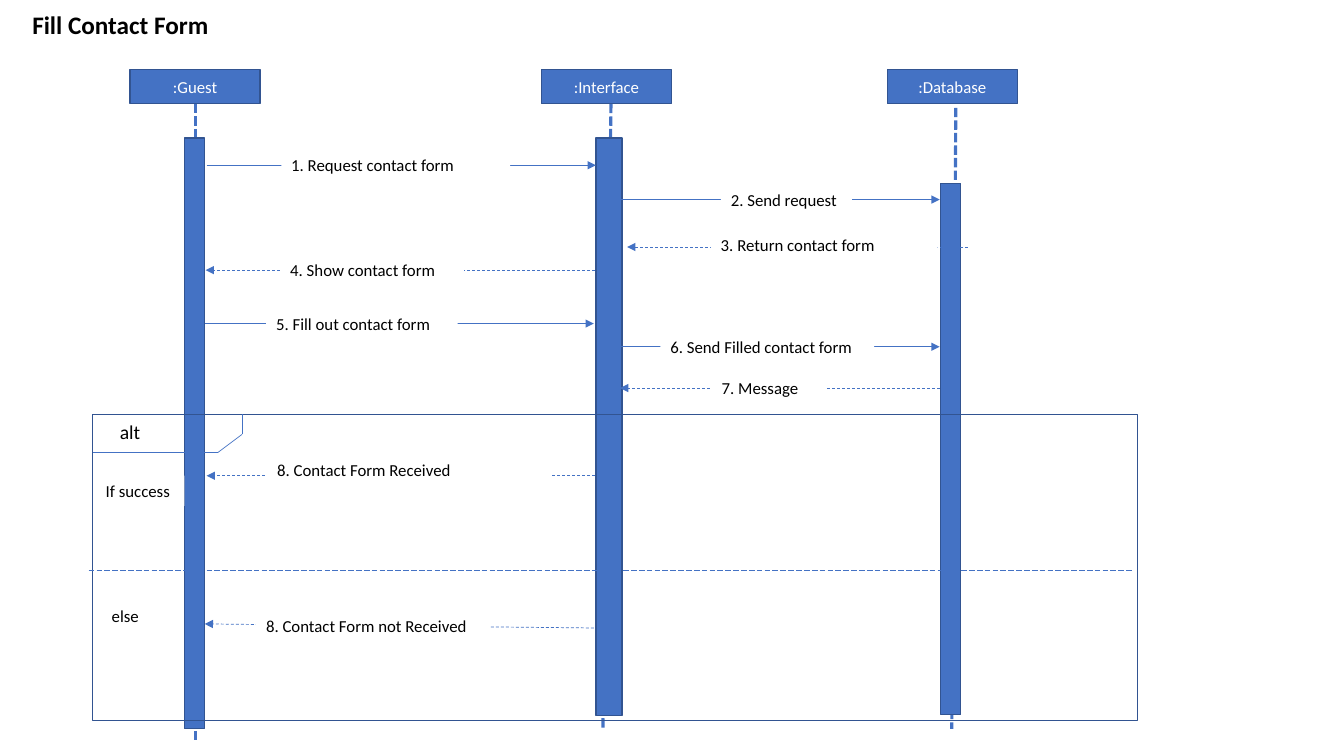
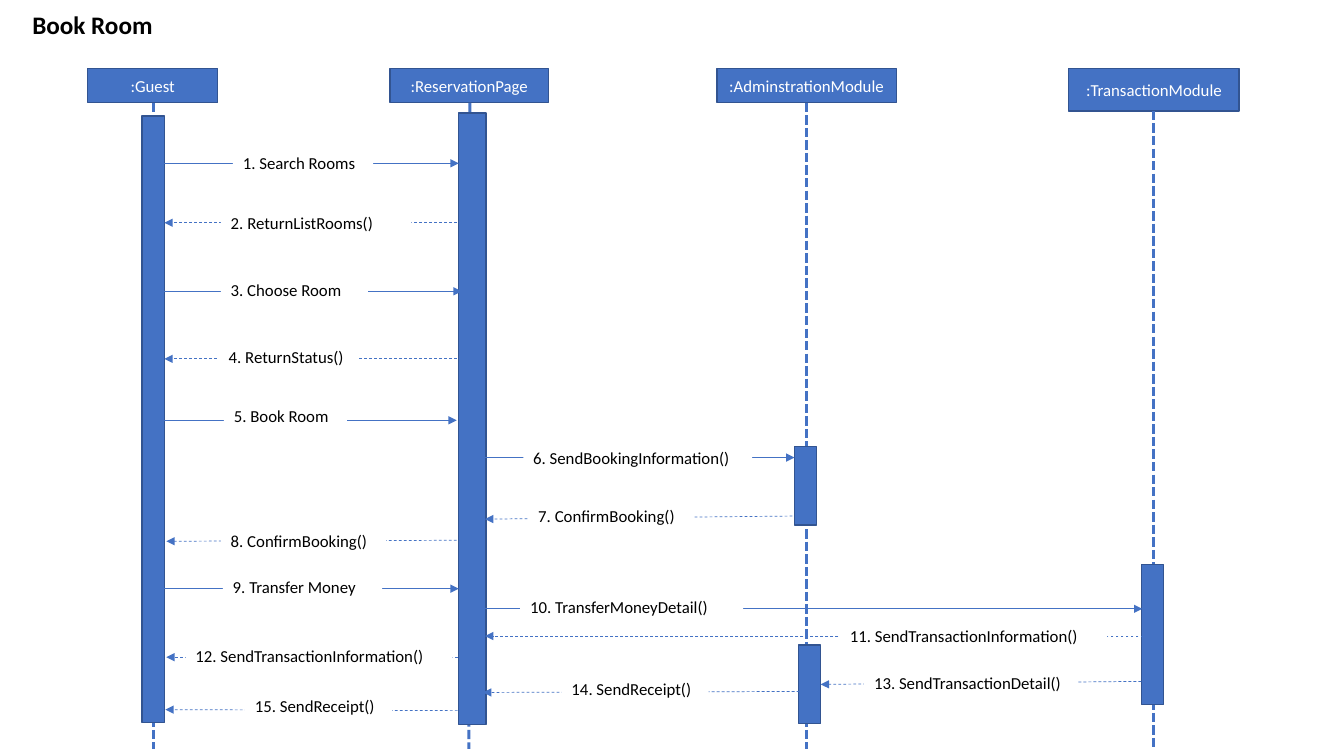
from dataclasses import dataclass
from itertools import pairwise

from pptx import Presentation
from pptx.dml.color import RGBColor
from pptx.enum import dml, shapes, text
from pptx.oxml.xmlchemy import OxmlElement
from pptx.util import Inches, Pt

FONT = "Calibri"
BLUE, NAVY, WHITE, BLACK = "4472C4", "325491", "FFFFFF", "000000"
LIFELINE_DASH = dml.MSO_LINE.SQUARE_DOT
REPLY_DASH = dml.MSO_LINE.DASH
DIVIDER_DASH = dml.MSO_LINE.LONG_DASH
LABEL_HEIGHT = 0.3
TITLE_BOX = (0.22, 0.04, 2.33, 0.4)


@dataclass
class Participant:
    name: str
    header: tuple
    lifeline: tuple
    bars: list


@dataclass
class Message:
    wording: str
    start: tuple
    end: tuple
    label: tuple


def color(value):
    return RGBColor.from_string(value)


def write(frame, wording, size, ink, bold=False, align=text.PP_ALIGN.LEFT):
    paragraph = frame.paragraphs[0]
    paragraph.alignment = align
    run = paragraph.add_run()
    run.text = wording
    run.font.name = FONT
    run.font.size = Pt(size)
    run.font.bold = bold
    run.font.color.rgb = color(ink)


def add_title(slide, wording, box):
    title = slide.shapes.title
    title.left, title.top, title.width, title.height = map(Inches, box)
    frame = title.text_frame
    frame.word_wrap = True
    frame.vertical_anchor = text.MSO_ANCHOR.TOP
    frame.auto_size = text.MSO_AUTO_SIZE.SHAPE_TO_FIT_TEXT
    write(frame, wording, 18, BLACK, bold=True)
    frame.paragraphs[0].line_spacing = 1.0
    frame.paragraphs[0].space_before = Pt(0)


def add_box(slide, box, fill=BLUE, line=NAVY):
    shape = slide.shapes.add_shape(shapes.MSO_SHAPE.RECTANGLE, *map(Inches, box))
    shape.shadow.inherit = False
    if fill:
        shape.fill.solid()
        shape.fill.fore_color.rgb = color(fill)
    else:
        shape.fill.background()
    if line:
        shape.line.color.rgb = color(line)
        shape.line.width = Pt(1)
    else:
        shape.line.fill.background()
    return shape


def add_line(slide, start, end, width=0.5, dash=None, arrow=False):
    connector = slide.shapes.add_connector(
        shapes.MSO_CONNECTOR.STRAIGHT, *map(Inches, (*start, *end)))
    connector.line.color.rgb = color(BLUE)
    connector.line.width = Pt(width)
    if dash:
        connector.line.dash_style = dash
    if arrow:
        tail = OxmlElement("a:tailEnd")
        tail.set("type", "triangle")
        connector.line._get_or_add_ln().append(tail)
    connector._element.spPr.append(OxmlElement("a:effectLst"))


def add_label(slide, wording, left, top, width):
    shape = add_box(slide, (left, top, width, LABEL_HEIGHT), WHITE, None)
    frame = shape.text_frame
    frame.word_wrap = True
    frame.vertical_anchor = text.MSO_ANCHOR.TOP
    frame.auto_size = text.MSO_AUTO_SIZE.SHAPE_TO_FIT_TEXT
    write(frame, wording, 12, BLACK)


def add_participant(slide, participant):
    header = add_box(slide, participant.header)
    header.text_frame.word_wrap = True
    header.text_frame.vertical_anchor = text.MSO_ANCHOR.MIDDLE
    write(header.text_frame, participant.name, 12, WHITE, align=text.PP_ALIGN.CENTER)
    start, end = participant.lifeline[:2], participant.lifeline[2:]
    add_line(slide, start, end, 2.25, LIFELINE_DASH)
    for bar in participant.bars:
        add_box(slide, bar)


def add_message(slide, message):
    is_reply = message.end[0] < message.start[0]
    dash = REPLY_DASH if is_reply else None
    add_line(slide, message.start, message.end, dash=dash, arrow=True)
    add_label(slide, message.wording, *message.label)


def add_alternative(slide, box):
    left, top, width, height = box
    add_box(slide, box, fill=None)
    tab = [(0, 0.38), (1.24, 0.38), (1.48, 0.2), (1.48, 0)]
    corners = [(left + x, top + y) for x, y in tab]
    for start, end in pairwise(corners):
        add_line(slide, start, end)
    operator = slide.shapes.add_textbox(
        *map(Inches, (left + 0.17, top + 0.01, 0.88, 0.34)))
    operator.text_frame.word_wrap = True
    write(operator.text_frame, "alt", 14, BLACK)
    divider = top + 1.55
    add_line(slide, (left - 0.04, divider), (left + width - 0.04, divider),
             dash=DIVIDER_DASH)
    add_label(slide, "If success", left + 0.03, top + 0.61, 0.88)
    add_label(slide, "else", left + 0.09, top + 1.85, 0.75)


def add_sequence_slide(presentation, title, participants, messages, alternative=None):
    slide = presentation.slides.add_slide(presentation.slide_layouts[5])
    add_title(slide, title, TITLE_BOX)
    for participant in participants:
        add_participant(slide, participant)
    for message in messages:
        add_message(slide, message)
    if alternative:
        add_alternative(slide, alternative)


CONTACT_PARTICIPANTS = [
    Participant(":Guest", (1.29, 0.69, 1.29, 0.34), (1.94, 1.03, 1.94, 7.35),
                [(1.83, 1.37, 0.2, 5.86)]),
    Participant(":Interface", (5.37, 0.69, 1.29, 0.34), (6.06, 1.03, 5.98, 7.23),
                [(5.91, 1.37, 0.26, 5.73)]),
    Participant(":Database", (8.8, 0.69, 1.29, 0.34), (9.48, 1.07, 9.44, 7.23),
                [(9.33, 1.82, 0.2, 5.27)]),
]
CONTACT_MESSAGES = [
    Message("1. Request contact form", (2.05, 1.64), (5.91, 1.64), (2.79, 1.49, 2.27)),
    Message("2. Send request", (6.12, 1.98), (9.32, 1.98), (7.15, 1.83, 1.3)),
    Message("3. Return contact form", (9.6, 2.45), (6.22, 2.45), (7.05, 2.28, 2.25)),
    Message("4. Show contact form", (5.9, 2.68), (2.04, 2.68), (2.78, 2.53, 1.82)),
    Message("5. Fill out contact form", (2.03, 3.21), (5.89, 3.21), (2.64, 3.06, 1.9)),
    Message("6. Send Filled contact form", (5.95, 3.44), (9.32, 3.44), (6.55, 3.29, 2.12)),
    Message("7. Message", (9.32, 3.85), (6.15, 3.85), (7.06, 3.7, 1.13)),
    Message("8. Contact Form Received", (5.9, 4.72), (2.05, 4.72), (2.65, 4.51, 2.81)),
    Message("8. Contact Form not Received", (5.89, 6.23), (2.03, 6.19), (2.54, 6.06, 2.32)),
]
BOOKING_PARTICIPANTS = [
    Participant(":Guest", (0.87, 0.68, 1.29, 0.34), (1.52, 1.02, 1.52, 7.43),
                [(1.41, 1.15, 0.22, 6.02)]),
    Participant(":ReservationPage", (3.87, 0.68, 1.57, 0.34), (4.66, 1.02, 4.65, 7.43),
                [(4.55, 1.12, 0.27, 6.07)]),
    Participant(":AdminstrationModule", (7.11, 0.68, 1.78, 0.34), (8, 1.02, 8, 7.43),
                [(7.88, 4.43, 0.22, 0.78), (7.92, 6.4, 0.22, 0.78)]),
    Participant(":TransactionModule", (10.6, 0.68, 1.69, 0.42), (11.44, 1.1, 11.44, 7.43),
                [(11.32, 5.6, 0.22, 1.39)]),
]
BOOKING_MESSAGES = [
    Message("1. Search Rooms", (1.63, 1.62), (4.55, 1.62), (2.31, 1.47, 1.39)),
    Message("2. ReturnListRooms()", (4.53, 2.21), (1.63, 2.21), (2.19, 2.06, 1.89)),
    Message("3. Choose Room", (1.59, 2.89), (4.58, 2.89), (2.19, 2.73, 1.46)),
    Message("4. ReturnStatus()", (4.53, 3.56), (1.63, 3.56), (2.17, 3.39, 1.38)),
    Message("5. Book Room", (1.54, 4.17), (4.53, 4.17), (2.22, 3.98, 1.22)),
    Message("6. SendBookingInformation()", (4.77, 4.54), (7.88, 4.54), (5.19, 4.39, 2.27)),
    Message("7. ConfirmBooking()", (7.86, 5.12), (4.81, 5.15), (5.24, 4.97, 1.64)),
    Message("8. ConfirmBooking()", (4.53, 5.36), (1.65, 5.37), (2.19, 5.22, 1.64)),
    Message("9. Transfer Money", (1.63, 5.84), (4.55, 5.84), (2.21, 5.67, 1.58)),
    Message("10. TransferMoneyDetail()", (4.58, 6.04), (11.33, 6.04), (5.16, 5.87, 2.21)),
    Message("11. SendTransactionInformation()", (11.44, 6.31), (4.81, 6.31),
            (8.33, 6.16, 2.65)),
    Message("12. SendTransactionInformation()", (4.54, 6.52), (1.65, 6.52),
            (1.84, 6.36, 2.65)),
    Message("13. SendTransactionDetail()", (11.32, 6.76), (8.14, 6.79), (8.57, 6.62, 2.12)),
    Message("14. SendReceipt()", (7.93, 6.86), (4.79, 6.87), (5.57, 6.68, 1.46)),
    Message("15. SendReceipt()", (4.54, 7.05), (1.64, 7.04), (2.43, 6.85, 1.46)),
]

presentation = Presentation()
presentation.slide_width = Inches(13.33)
presentation.slide_height = Inches(7.5)
add_sequence_slide(presentation, "Fill Contact Form", CONTACT_PARTICIPANTS,
                   CONTACT_MESSAGES, alternative=(0.92, 4.11, 10.36, 3.04))
add_sequence_slide(presentation, "Book Room", BOOKING_PARTICIPANTS, BOOKING_MESSAGES)
presentation.save("out.pptx")
